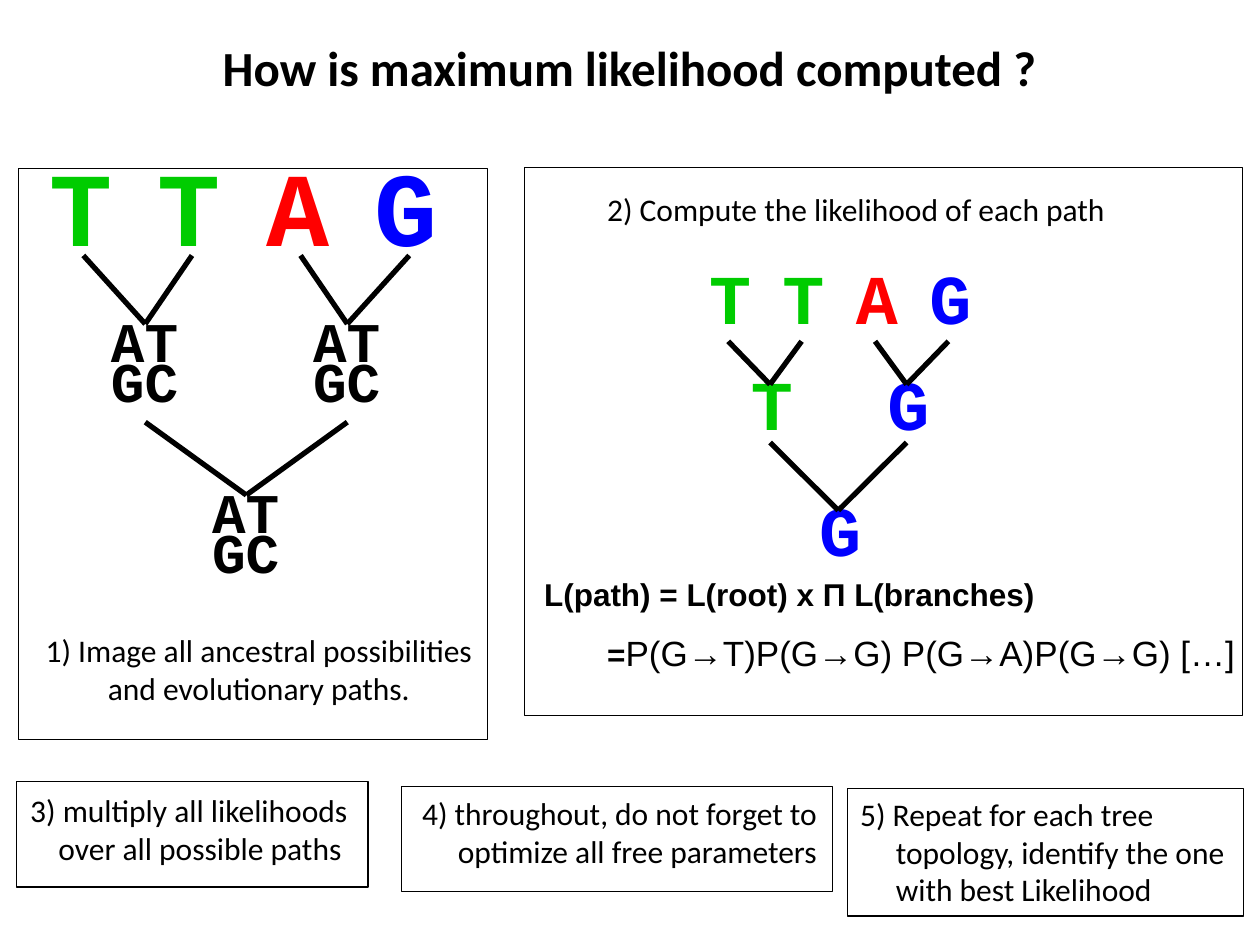
from lxml.etree import SubElement
from pptx import Presentation
from pptx.dml.color import RGBColor
from pptx.enum.shapes import MSO_CONNECTOR, MSO_SHAPE
from pptx.enum.text import PP_ALIGN as Align
from pptx.oxml.ns import qn
from pptx.util import Cm, Pt

BASES = {"T": "00CC00", "A": "FF0000", "G": "0000FF"}
BLACK, WHITE = "000000", "FFFFFF"

# Content: lengths in cm, boxes as left, top, width, height
TITLE = ("How is maximum likelihood computed ?", (4.11, 0.64, 17.15, 1.45))

# Horizontal place of each node, counted in steps between neighbouring leaves
NODE_STEPS = [(0, 1, 2, 3), (0.57, 2.43), (1.5,)]

# Levels run from leaves to root: labels, top, height, font size
PANELS = [
    {
        "frame": (0.38, 3.4, 9.45, 11.51),
        "tree": {
            "first": 1.68, "step": 2.19, "width": 1.88,
            "levels": [
                (["T", "T", "A", "G"], 3.63, 1.52, 60),
                (["ATGC", "ATGC"], 6.53, 1.98, 32),
                (["ATGC"], 9.98, 1.98, 32),
            ],
        },
        "caption": (0.61, 12.6, 9.22, 1.8),
        "lines": ["1) Image all ancestral possibilities", "and evolutionary paths."],
        "align": Align.CENTER,
    },
    {
        "frame": (10.57, 3.38, 14.48, 11.05),
        "tree": {
            "first": 14.68, "step": 1.48, "width": 1.27,
            "levels": [
                (["T", "T", "A", "G"], 5.61, 1.27, 40),
                (["T", "G"], 7.75, 1.17, 40),
                (["G"], 10.29, 1.27, 40),
            ],
        },
        "caption": (11.99, 3.71, 10.69, 1.02),
        "lines": ["2) Compute the likelihood of each path"],
    },
    {
        "frame": (0.33, 15.75, 7.09, 2.13),
        "caption": (0.36, 15.82, 6.99, 1.8),
        "lines": ["3) multiply all likelihoods", "over all possible paths"],
        "indent": 0.57,
    },
    {
        "frame": (8.1, 15.85, 8.69, 2.13),
        "caption": (8.26, 15.88, 8.61, 1.8),
        "lines": ["4) throughout, do not forget to", "optimize all free parameters"],
        "indent": 0.72,
    },
    {
        "frame": (17.09, 15.9, 7.98, 2.57),
        "caption": (17.09, 15.9, 7.98, 2.57),
        "lines": ["5) Repeat for each tree", "topology, identify the one",
                  "with best Likelihood"],
        "indent": 0.72,
    },
]

FORMULA_BOX = (10.72, 11.46, 14.68, 2.2)
FORMULA = "L(path) = L(root) x Π L(branches)"
EXPANSION = [("=", 18, True), ("P(G→T)P(G→G) P(G→A)P(G→G) […]", 20, False)]


def rgb(value):
    return RGBColor.from_string(value)


def style(font, size, name="Calibri", color=BLACK, bold=False):
    font.size, font.name, font.bold = Pt(size), name, bold
    font.color.rgb = rgb(color)


def add_text(shapes, box, lines, size, align=Align.LEFT, indent=0, wrap=False, **look):
    """Text box; every line after the first is indented."""
    shape = shapes.add_textbox(*map(Cm, box))
    frame = shape.text_frame
    frame.word_wrap = wrap
    frame.text = "\n".join(lines)
    for index, paragraph in enumerate(frame.paragraphs):
        paragraph.alignment = align
        if index and indent:
            paragraph._p.get_or_add_pPr().set("marL", str(Cm(indent)))
        for run in paragraph.runs:
            style(run.font, size, **look)
    return shape


def add_frame(shapes, box):
    shape = shapes.add_shape(MSO_SHAPE.RECTANGLE, *map(Cm, box))
    shape.shadow.inherit = False
    shape.fill.solid()
    shape.fill.fore_color.rgb = rgb(WHITE)
    shape.line.color.rgb = rgb(BLACK)
    shape.line.width = Pt(0.75)


def add_branch(shapes, parent, child):
    """Line from the top of the ancestor to the bottom of its descendant."""
    line = shapes.add_connector(MSO_CONNECTOR.STRAIGHT, 0, 0, 0, 0)
    line.begin_connect(parent, 0)
    line.end_connect(child, 2)
    line.line.color.rgb = rgb(BLACK)
    line.line.width = Pt(3)
    SubElement(line._element.spPr, qn("a:effectLst"))


def add_tree(shapes, tree):
    descendants = []
    for steps, (labels, top, height, size) in zip(NODE_STEPS, tree["levels"]):
        nodes = []
        for step, label in zip(steps, labels):
            left = tree["first"] + step * tree["step"] - tree["width"] / 2
            node = add_text(shapes, (left, top, tree["width"], height), [label], size,
                            wrap=True, name="Courier New", bold=True,
                            color=BASES.get(label, BLACK))
            node.text_frame.paragraphs[0].line_spacing = 0.6
            nodes.append(node)
        for index, child in enumerate(descendants):
            add_branch(shapes, nodes[index // 2], child)
        descendants = nodes


def add_formula(shapes):
    shape = add_text(shapes, FORMULA_BOX, [FORMULA], 18, wrap=True, name="Arial", bold=True)
    paragraph = shape.text_frame.add_paragraph()
    paragraph._p.get_or_add_pPr().set("marL", str(Cm(1.27)))
    paragraph.space_before = Pt(11)
    for text, size, bold in EXPANSION:
        run = paragraph.add_run()
        run.text = text
        style(run.font, size, "Arial", bold=bold)


def main():
    presentation = Presentation()
    presentation.slide_width, presentation.slide_height = Cm(25.4), Cm(19.05)
    slide = presentation.slides.add_slide(presentation.slide_layouts[6])

    # Title
    title, title_box = TITLE
    add_text(slide.shapes, title_box, [title], 28, Align.CENTER, bold=True)

    # Numbered panels, one group each
    groups = []
    for panel in PANELS:
        group = slide.shapes.add_group_shape()
        add_frame(group.shapes, panel["frame"])
        if "tree" in panel:
            add_tree(group.shapes, panel["tree"])
        add_text(group.shapes, panel["caption"], panel["lines"], 18,
                 panel.get("align", Align.LEFT), panel.get("indent", 0))
        groups.append(group)

    # Likelihood formula in the second panel
    add_formula(groups[1].shapes)
    presentation.save("out.pptx")


if __name__ == "__main__":
    main()
